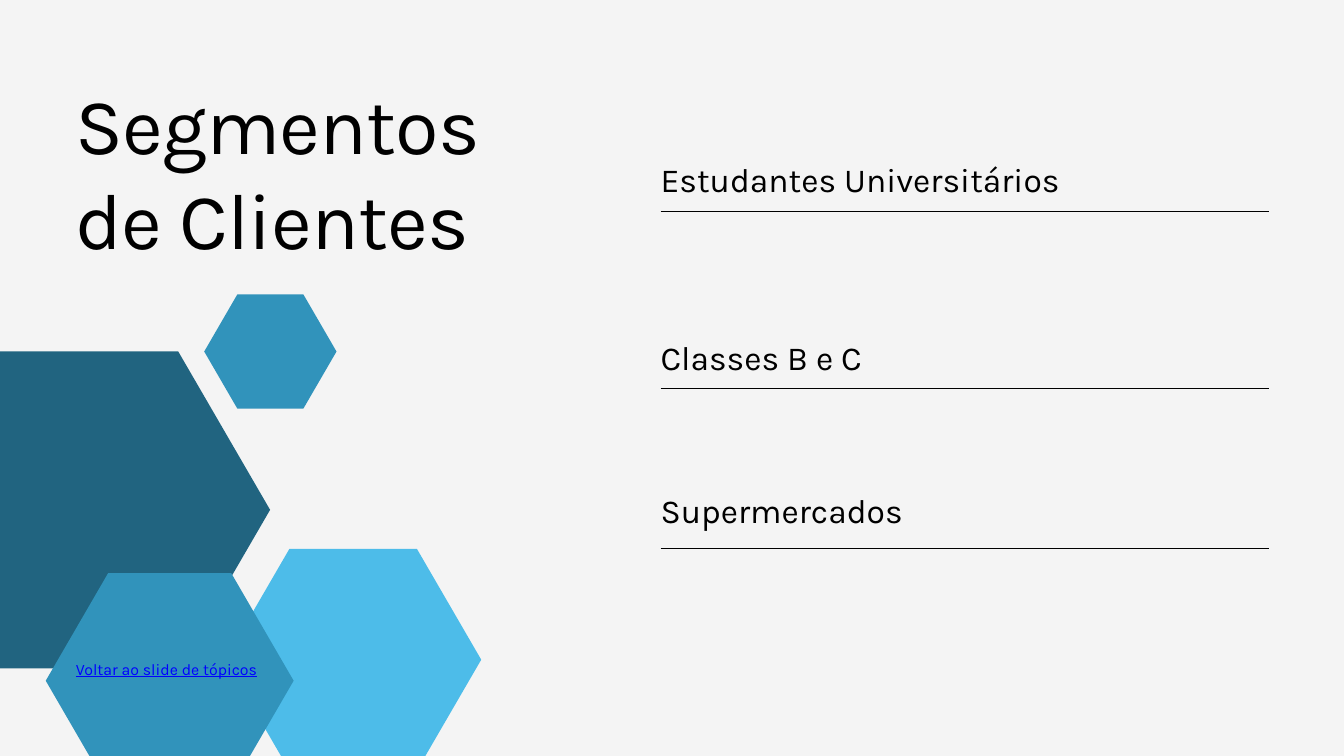
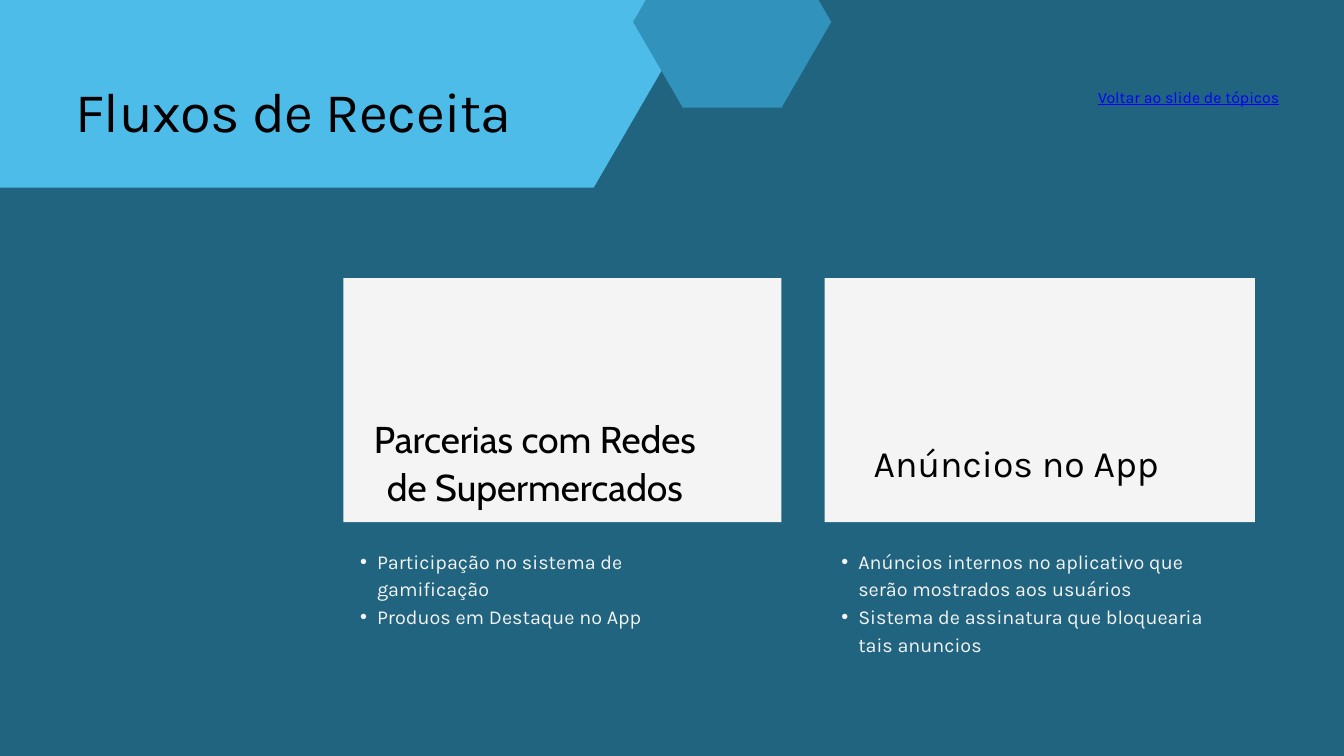
"""Build the customer segments and revenue streams slides."""
from lxml.etree import SubElement
from pptx import Presentation
from pptx.dml.color import RGBColor
from pptx.enum.shapes import MSO_CONNECTOR, MSO_SHAPE
from pptx.enum.text import MSO_ANCHOR, PP_ALIGN
from pptx.oxml.ns import qn
from pptx.util import Cm, Pt

COLORS = {
    "black": "000000",
    "paper": "F4F4F4",
    "dark": "216480",
    "middle": "3193BB",
    "light": "4DBCE9",
    "link": "0000FF",
}
FONT = "Karla"
BACK_LABEL = "Voltar ao slide de tópicos"
HEXAGON_INSET = 0.29
TITLE_LEFT = 2.84

SEGMENTS_TITLE = "Segmentos de Clientes"
SEGMENTS = [
    ("Estudantes Universitários", 6.02, 7.98),
    ("Classes B e C", 12.75, 14.68),
    ("Supermercados", 18.52, 20.73),
]
SEGMENT_LEFT, SEGMENT_WIDTH, SEGMENT_HEIGHT = 24.97, 22.99, 1.52
SEGMENT_HEXAGONS = [
    ("dark", (-3.63, 13.28, 13.84, 11.99)),
    ("light", (8.51, 20.75, 9.68, 8.38)),
    ("middle", (7.72, 11.13, 5, 4.32)),
    ("middle", (1.73, 21.67, 9.37, 8.13)),
]

REVENUE_TITLE = "Fluxos de Receita"
REVENUES = [
    {
        "heading": "Parcerias com Redes de Supermercados",
        "font": "Cabin",
        "left": 12.98,
        "card_width": 16.56,
        "points": ["Participação no sistema de gamificação", "Produos em Destaque no App"],
    },
    {
        "heading": "Anúncios no App",
        "font": FONT,
        "left": 31.17,
        "card_width": 16.26,
        "points": [
            "Anúncios internos no aplicativo que serão mostrados aos usuários",
            "Sistema de assinatura que bloquearia tais anuncios",
        ],
    },
]
REVENUE_HEXAGONS = [
    ("light", (-8.1, -10.21, 35.56, 17.3)),
    ("middle", (23.93, -2.41, 7.49, 6.48)),
]
CARD_TOP, CARD_HEIGHT = 10.52, 9.22
HEADING_TOP, HEADING_HEIGHT, HEADING_MARGIN = 9.83, 15.16, 0.71
COLUMN_WIDTH = 14.48
POINTS_TOP, POINTS_LINE_HEIGHT = 20.62, 1.03


def color(name):
    return RGBColor.from_string(COLORS[name])


def place(shape, box):
    shape.left, shape.top, shape.width, shape.height = map(Cm, box)


def add_slide(presentation, layout_index, background):
    slide = presentation.slides.add_slide(presentation.slide_layouts[layout_index])
    slide.background.fill.solid()
    slide.background.fill.fore_color.rgb = color(background)
    return slide


def add_panel(slide, kind, box, fill):
    shape = slide.shapes.add_shape(kind, *map(Cm, box))
    shape.shadow.inherit = False
    shape.fill.solid()
    shape.fill.fore_color.rgb = color(fill)
    shape.line.fill.background()
    return shape


def add_hexagons(slide, hexagons):
    for fill, box in hexagons:
        hexagon = add_panel(slide, MSO_SHAPE.HEXAGON, box, fill)
        hexagon.adjustments[0] = HEXAGON_INSET


def add_bullet(paragraph):
    properties = paragraph._p.get_or_add_pPr()
    properties.set("marL", str(Cm(1.27)))
    properties.set("indent", str(Cm(-0.64)))
    SubElement(properties, qn("a:buChar")).set("char", "•")


def write(shape, lines, size, spacing, fill="black", font=FONT, align=PP_ALIGN.LEFT,
          anchor=MSO_ANCHOR.TOP, margin=0, bullets=False, underline=False):
    frame = shape.text_frame
    frame.word_wrap = True
    frame.vertical_anchor = anchor
    frame.margin_left = frame.margin_right = Cm(margin)
    frame.margin_top = frame.margin_bottom = Cm(margin)
    frame.text = "\n".join(lines)
    for paragraph in frame.paragraphs:
        if bullets:
            add_bullet(paragraph)
        paragraph.alignment = align
        paragraph.line_spacing = Pt(spacing)
        paragraph.space_before = Pt(0)
        paragraph.font.name = font
        paragraph.font.size = Pt(size)
        paragraph.font.color.rgb = color(fill)
        if underline:
            paragraph.font.underline = True


def add_text(slide, box, text, size, spacing, **style):
    write(slide.shapes.add_textbox(*map(Cm, box)), [text], size, spacing, **style)


def set_title(slide, box, text, size, spacing):
    title = slide.shapes.title
    place(title, box)
    write(title, [text], size, spacing)
    for run in title.text_frame.paragraphs[0].runs:
        run._r.get_or_add_rPr().set("spc", str(-size))
    title.element.getparent().append(title.element)


def add_back_label(slide, box, align):
    add_text(slide, box, BACK_LABEL, 17, 23.8, fill="link", align=align, underline=True)


def add_rule(slide, top):
    rule = slide.shapes.add_connector(
        MSO_CONNECTOR.STRAIGHT, Cm(SEGMENT_LEFT), Cm(top),
        Cm(SEGMENT_LEFT + SEGMENT_WIDTH), Cm(top))
    rule.line.color.rgb = color("black")
    rule.line.width = Pt(0.75)
    SubElement(rule.element.spPr, qn("a:effectLst"))


def build_segments(presentation):
    slide = add_slide(presentation, 5, "paper")
    add_hexagons(slide, SEGMENT_HEXAGONS)
    set_title(slide, (TITLE_LEFT, 2.84, 15.32, 7.14), SEGMENTS_TITLE, 85, 102)
    for name, top, rule_top in SEGMENTS:
        add_text(slide, (SEGMENT_LEFT, top, SEGMENT_WIDTH, SEGMENT_HEIGHT), name, 36, 43.2)
        add_rule(slide, rule_top)
    add_back_label(slide, (2.87, 24.82, 14.53, 0.81), PP_ALIGN.LEFT)


def build_revenues(presentation):
    slide = add_slide(presentation, 3, "dark")
    add_hexagons(slide, REVENUE_HEXAGONS)
    set_title(slide, (TITLE_LEFT, 2.67, 18.42, 2.72), REVENUE_TITLE, 60, 78)
    for index, revenue in enumerate(REVENUES, start=1):
        left = revenue["left"]
        add_panel(slide, MSO_SHAPE.RECTANGLE,
                  (left, CARD_TOP, revenue["card_width"], CARD_HEIGHT), "paper")
        add_text(slide, (left, HEADING_TOP, COLUMN_WIDTH, HEADING_HEIGHT), revenue["heading"],
                 40, 52, font=revenue["font"], align=PP_ALIGN.CENTER,
                 anchor=MSO_ANCHOR.MIDDLE, margin=HEADING_MARGIN)
        points = slide.placeholders[index]
        place(points, (left, POINTS_TOP, COLUMN_WIDTH, POINTS_LINE_HEIGHT * (index + 2)))
        write(points, revenue["points"], 21.2, 29.7, fill="paper", bullets=True)
    add_back_label(slide, (41.4, 3.18, 6.96, 0.81), PP_ALIGN.RIGHT)


def main():
    presentation = Presentation()
    presentation.slide_width = Cm(50.8)
    presentation.slide_height = Cm(28.58)
    build_segments(presentation)
    build_revenues(presentation)
    presentation.save("out.pptx")


if __name__ == "__main__":
    main()
